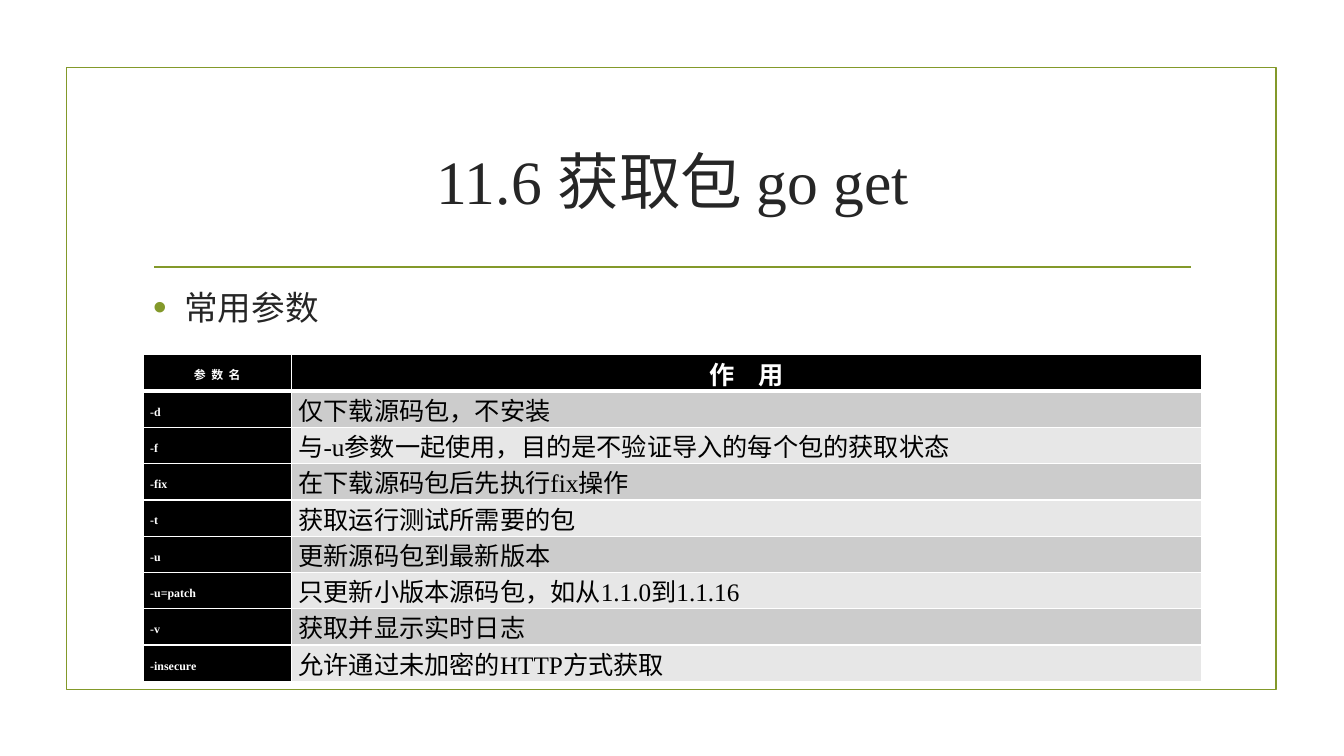
from pptx import Presentation
from pptx.dml.color import RGBColor
from pptx.enum.shapes import MSO_CONNECTOR, MSO_SHAPE
from pptx.enum.text import MSO_ANCHOR, PP_ALIGN
from pptx.util import Inches, Pt
from lxml.etree import SubElement
from pptx.oxml.ns import qn

# Content
TITLE = "11.6 获取包 go get"
BULLET = "常用参数"
HEADER = ("参  数  名", "作    用")
PARAMETERS = [
    ("-d", "仅下载源码包，不安装"),
    ("-f", "与-u参数一起使用，目的是不验证导入的每个包的获取状态"),
    ("-fix", "在下载源码包后先执行fix操作"),
    ("-t", "获取运行测试所需要的包"),
    ("-u", "更新源码包到最新版本"),
    ("-u=patch", "只更新小版本源码包，如从1.1.0到1.1.16"),
    ("-v", "获取并显示实时日志"),
    ("-insecure", "允许通过未加密的HTTP方式获取"),
]

# Style
FONT = "Times New Roman"
GREEN = RGBColor(0x83, 0x99, 0x2A)
DARK = RGBColor(0x26, 0x26, 0x26)
BLACK = RGBColor(0, 0, 0)
WHITE = RGBColor(0xFF, 0xFF, 0xFF)
BANDS = (RGBColor(0xCC, 0xCC, 0xCC), RGBColor(0xE7, 0xE7, 0xE7))
LEFT, WIDTH = 1.42, 10.5
COLUMN_WIDTHS = (1.47, 9.03)
ROW_HEIGHT = 0.36


def add_text(paragraph, text, size, color, bold=False):
    run = paragraph.add_run()
    run.text = text
    run.font.name = FONT
    run.font.size = Pt(size)
    run.font.bold = bold
    run.font.color.rgb = color


def add_bullet(paragraph, color):
    properties = paragraph._p.get_or_add_pPr()
    properties.set("marL", str(Inches(0.31)))
    properties.set("indent", str(-Inches(0.31)))
    bullet_color = SubElement(properties, qn("a:buClr"))
    SubElement(bullet_color, qn("a:srgbClr"), val=str(color))
    SubElement(properties, qn("a:buSzPct"), val="115000")
    SubElement(properties, qn("a:buFont"), typeface="Arial")
    SubElement(properties, qn("a:buChar"), char="•")


def set_borders(cell, bottom_width):
    properties = cell._tc.get_or_add_tcPr()
    widths = {"a:lnL": 1, "a:lnR": 1, "a:lnT": 1, "a:lnB": bottom_width}
    for position, (tag, width) in enumerate(widths.items()):
        line = SubElement(properties, qn(tag), w=str(Pt(width)))
        fill = SubElement(line, qn("a:solidFill"))
        SubElement(fill, qn("a:srgbClr"), val=str(WHITE))
        properties.insert(position, line)


presentation = Presentation()
presentation.slide_width = Inches(13.33)
presentation.slide_height = Inches(7.5)
slide = presentation.slides.add_slide(presentation.slide_layouts[5])
shapes = slide.shapes

# Frame and divider
frame = shapes.add_shape(MSO_SHAPE.RECTANGLE, Inches(0.66), Inches(0.67),
                         Inches(12), Inches(6.17))
frame.shadow.inherit = False
frame.fill.background()
divider = shapes.add_connector(MSO_CONNECTOR.STRAIGHT, Inches(1.53), Inches(2.65),
                               Inches(11.81), Inches(2.65))
SubElement(divider._element.spPr, qn("a:effectLst"))
for outlined in (frame, divider):
    outlined.line.color.rgb = GREEN
    outlined.line.width = Pt(1.25)

# Title
title = shapes.title
title.left, title.top = Inches(LEFT), Inches(1.07)
title.width, title.height = Inches(WIDTH), Inches(1.43)
title.text_frame.vertical_anchor = MSO_ANCHOR.MIDDLE
paragraph = title.text_frame.paragraphs[0]
paragraph.alignment = PP_ALIGN.CENTER
add_text(paragraph, TITLE, 44, DARK)

# Bullet line
body = shapes.add_textbox(Inches(LEFT), Inches(2.8), Inches(WIDTH), Inches(0.6))
body.text_frame.word_wrap = True
paragraph = body.text_frame.paragraphs[0]
paragraph.space_after = Pt(6)
add_bullet(paragraph, GREEN)
add_text(paragraph, BULLET, 24, DARK)

# Parameter table
rows = [HEADER] + PARAMETERS
table = shapes.add_table(len(rows), len(HEADER), Inches(LEFT), Inches(3.52),
                         Inches(WIDTH), Inches(ROW_HEIGHT * len(rows))).table
for column, width in zip(table.columns, COLUMN_WIDTHS):
    column.width = Inches(width)

for row_index, values in enumerate(rows):
    table.rows[row_index].height = Inches(ROW_HEIGHT)
    is_header = row_index == 0
    for column_index, text in enumerate(values):
        is_name = column_index == 0
        is_dark = is_header or is_name
        cell = table.cell(row_index, column_index)
        cell.margin_left = cell.margin_right = Inches(0.07)
        cell.margin_top = cell.margin_bottom = 0
        cell.vertical_anchor = MSO_ANCHOR.MIDDLE
        cell.fill.solid()
        cell.fill.fore_color.rgb = BLACK if is_dark else BANDS[(row_index - 1) % 2]
        set_borders(cell, 3 if is_header else 1)
        paragraph = cell.text_frame.paragraphs[0]
        paragraph.alignment = PP_ALIGN.CENTER if is_header else PP_ALIGN.JUSTIFY
        if is_name:
            paragraph.line_spacing = Pt(13.5)
        add_text(paragraph, text, 8.5 if is_name else 18,
                 WHITE if is_dark else BLACK, is_dark)

presentation.save("out.pptx")
